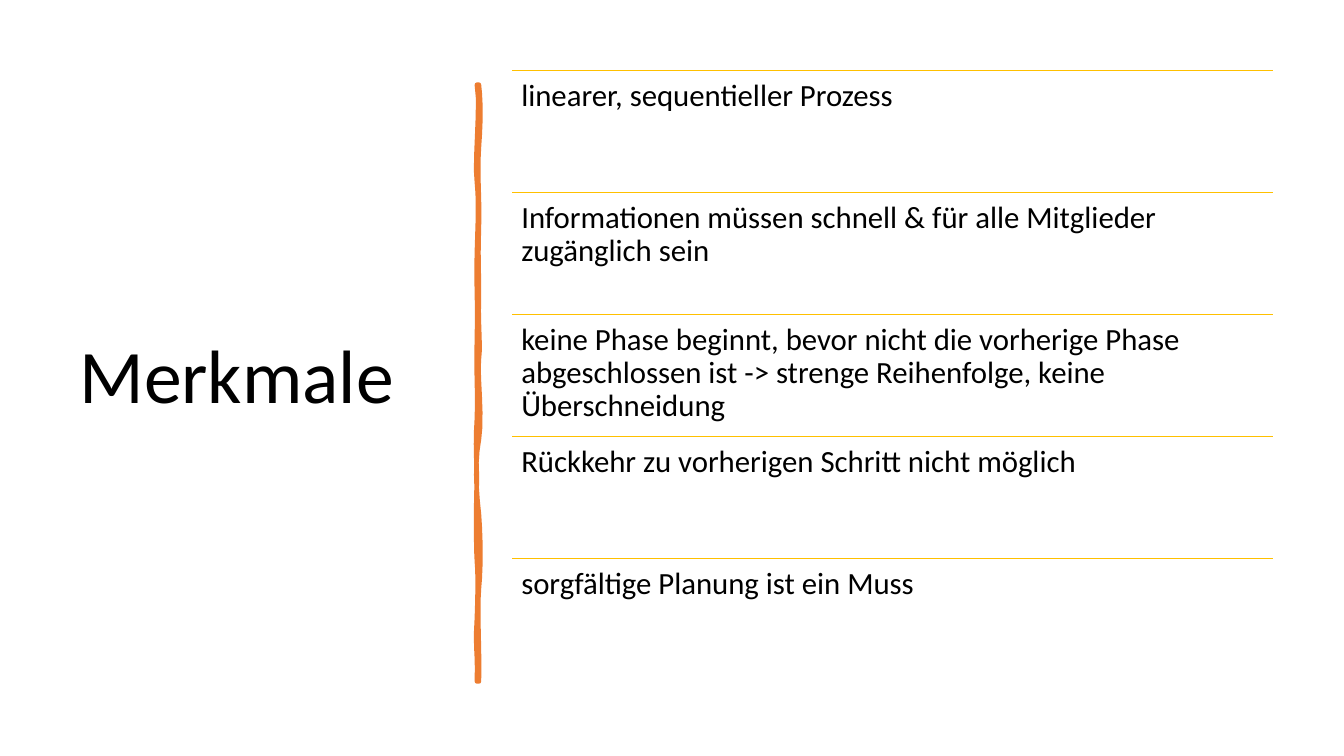
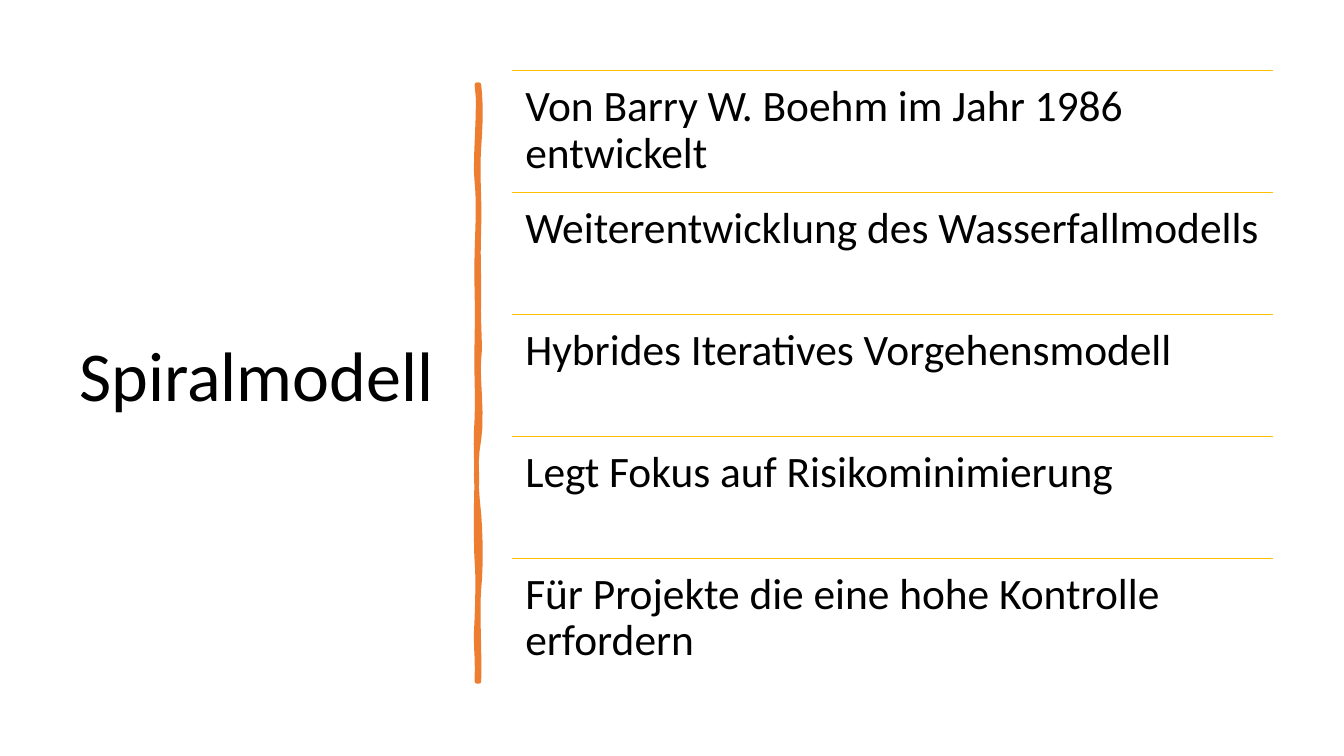
import pptx
import pptx.dml.color
import pptx.enum.shapes
import pptx.enum.text
import pptx.oxml.ns
import pptx.util
from lxml import etree

Inches = pptx.util.Inches

STROKE_START = (4.75, 0.84)
STROKE_CURVES = [
    ((4.77, 1.02), (4.77, 1.19), (4.75, 1.46)),
    ((4.73, 1.73), (4.76, 1.95), (4.75, 2.26)),
    ((4.74, 2.57), (4.75, 2.62), (4.75, 2.94)),
    ((4.74, 3.25), (4.77, 3.42), (4.75, 3.56)),
    ((4.73, 3.7), (4.79, 4.14), (4.75, 4.36)),
    ((4.71, 4.57), (4.72, 4.84), (4.75, 5.1)),
    ((4.77, 5.36), (4.77, 5.64), (4.75, 5.84)),
    ((4.73, 6.03), (4.76, 6.5), (4.75, 6.76)),
    ((4.74, 6.76), (4.73, 6.76), (4.73, 6.76)),
    ((4.74, 6.46), (4.71, 6.44), (4.73, 6.13)),
    ((4.74, 5.83), (4.74, 5.7), (4.73, 5.57)),
    ((4.72, 5.44), (4.72, 4.95), (4.73, 4.77)),
    ((4.73, 4.59), (4.71, 4.45), (4.73, 4.15)),
    ((4.74, 3.86), (4.72, 3.73), (4.73, 3.35)),
    ((4.74, 2.98), (4.72, 2.81), (4.73, 2.5)),
    ((4.74, 2.18), (4.75, 2), (4.73, 1.81)),
    ((4.7, 1.63), (4.77, 1.04), (4.73, 0.84)),
]

SLIDES = [
    ("Merkmale", 54, 22, 0.09, [
        "linearer, sequentieller Prozess",
        "Informationen müssen schnell & für alle Mitglieder zugänglich sein",
        "keine Phase beginnt, bevor nicht die vorherige Phase abgeschlossen ist"
        " -> strenge Reihenfolge, keine Überschneidung",
        "Rückkehr zu vorherigen Schritt nicht möglich",
        "sorgfältige Planung ist ein Muss",
    ]),
    ("Spiralmodell", 50, 31, 0.13, [
        "Von Barry W. Boehm im Jahr 1986 entwickelt",
        "Weiterentwicklung des Wasserfallmodells",
        "Hybrides Iteratives Vorgehensmodell",
        "Legt Fokus auf Risikominimierung",
        "Für Projekte die eine hohe Kontrolle erfordern",
    ]),
]


def color(value):
    return pptx.dml.color.RGBColor.from_string(value)


def curve_points(start, curves, steps=6):
    points = []
    for first, second, end in curves:
        for step in range(1, steps + 1):
            t = step / steps
            weights = ((1 - t) ** 3, 3 * t * (1 - t) ** 2, 3 * t * t * (1 - t), t ** 3)
            corners = (start, first, second, end)
            points.append(tuple(
                Inches(sum(weight * corner[axis] for weight, corner in zip(weights, corners)))
                for axis in (0, 1)
            ))
        start = end
    return points


class Deck:
    """Holds the shared style and the slide being built."""

    FONT = "Calibri"
    TEXT = "000000"
    STROKE = "ED7D31"
    RULE = "FFC000"
    LEFT, TOP, WIDTH, ROW = 5.08, 0.7, 7.55, 1.21

    def __init__(self):
        self.presentation = pptx.Presentation()
        self.presentation.slide_width = Inches(13.33)
        self.presentation.slide_height = Inches(7.5)
        self.slide = None

    def add_slide(self):
        self.slide = self.presentation.slides.add_slide(self.presentation.slide_layouts[6])

    def text(self, content, box, size, inset, anchor):
        shape = self.slide.shapes.add_textbox(*map(Inches, box))
        frame = shape.text_frame
        frame.word_wrap = True
        frame.vertical_anchor = anchor
        frame.margin_left = frame.margin_right = Inches(inset)
        frame.margin_top = frame.margin_bottom = Inches(inset)
        frame.text = content
        paragraph = frame.paragraphs[0]
        paragraph.line_spacing = 0.9
        font = paragraph.runs[0].font
        font.name = self.FONT
        font.size = pptx.util.Pt(size)
        font.color.rgb = color(self.TEXT)

    def title(self, content, size):
        self.text(content, (0.69, 0.7, 3.74, 6.11), size, 0.1,
                  pptx.enum.text.MSO_ANCHOR.MIDDLE)

    def brush_stroke(self):
        builder = self.slide.shapes.build_freeform(*map(Inches, STROKE_START))
        builder.add_line_segments(curve_points(STROKE_START, STROKE_CURVES), close=True)
        shape = builder.convert_to_shape()
        shape.shadow.inherit = False
        shape.fill.solid()
        shape.fill.fore_color.rgb = color(self.STROKE)
        shape.line.color.rgb = color(self.STROKE)
        shape.line.width = pptx.util.Pt(3.25)
        etree.SubElement(shape.line._get_or_add_ln(), pptx.oxml.ns.qn("a:round"))

    def rule(self, top):
        connector = self.slide.shapes.add_connector(
            pptx.enum.shapes.MSO_CONNECTOR.STRAIGHT,
            Inches(self.LEFT), Inches(top), Inches(self.LEFT + self.WIDTH), Inches(top))
        connector.line.color.rgb = color(self.RULE)
        connector.line.width = pptx.util.Pt(1)
        properties = connector._element.spPr
        etree.SubElement(properties, pptx.oxml.ns.qn("a:effectLst"))

    def ruled_list(self, items, size, inset):
        for index, item in enumerate(items):
            top = self.TOP + index * self.ROW
            self.rule(top)
            self.text(item, (self.LEFT, top, self.WIDTH, self.ROW), size, inset,
                      pptx.enum.text.MSO_ANCHOR.TOP)


def main():
    deck = Deck()
    for title, title_size, item_size, inset, items in SLIDES:
        deck.add_slide()
        deck.title(title, title_size)
        deck.brush_stroke()
        deck.ruled_list(items, item_size, inset)
    deck.presentation.save("out.pptx")


if __name__ == "__main__":
    main()
